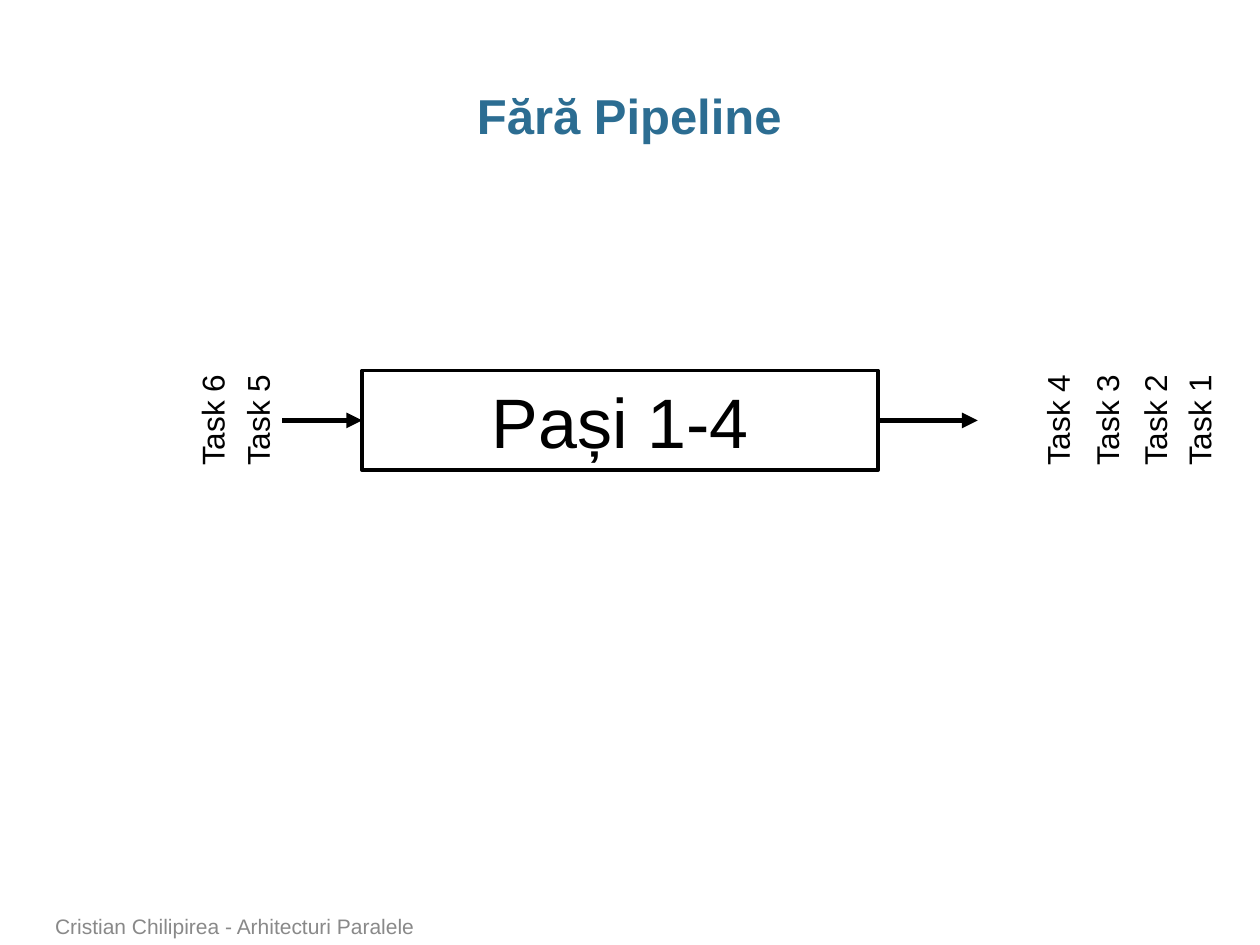
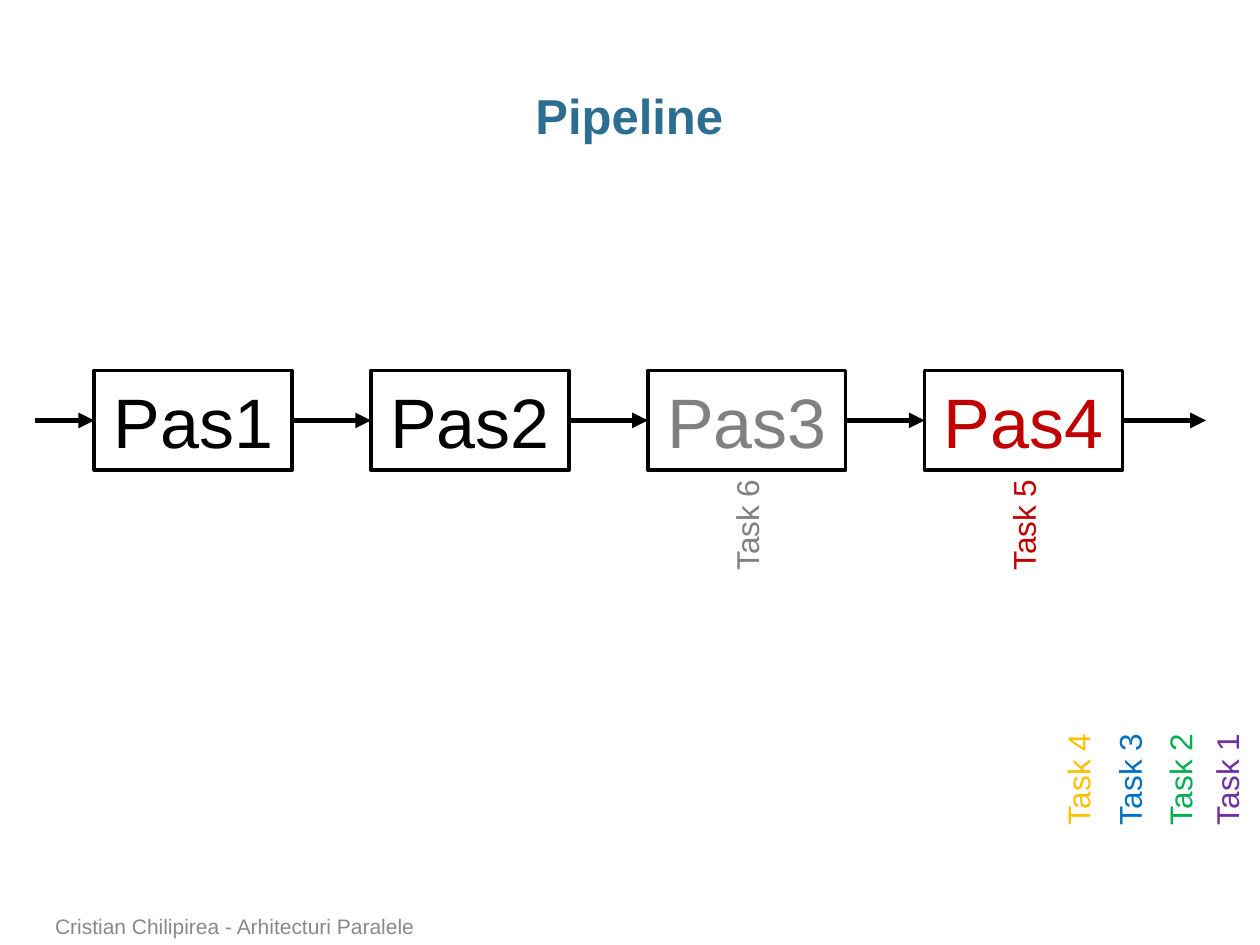
from lxml import etree
from pptx import Presentation
from pptx import util as u
from pptx.dml.color import RGBColor
from pptx.enum import shapes, text
from pptx.oxml.ns import qn

FONT = "Arial"
COLOURS = {
    "title": "2C6D92", "footer": "898989", "black": "000000",
    "grey": "808080", "red": "C00000", "yellow": "FFC000",
    "blue": "0070C0", "green": "00B050", "purple": "7030A0",
}
FOOTER = "Cristian Chilipirea - Arhitecturi Paralele"

# Content: lengths in cm; a task is (label, colour, centre x),
# a busy step carries the task shown below it
DIAGRAMS = [
    {
        "title": "Fără Pipeline",
        "steps": [("Pași 1-4", "black", None)],
        "first_left": 7.3, "step_width": 10.4,
        "flow": (5.69, 19.71),
        "tasks": [("Task 1", "black", 24.17), ("Task 2", "black", 23.28),
                  ("Task 3", "black", 22.31), ("Task 4", "black", 21.32),
                  ("Task 5", "black", 5.19), ("Task 6", "black", 4.28)],
        "tasks_y": 8.46,
    },
    {
        "title": "Pipeline",
        "steps": [("Pas1", "black", None), ("Pas2", "black", None),
                  ("Pas3", "grey", "Task 6"), ("Pas4", "red", "Task 5")],
        "first_left": 1.9, "step_width": 3.99,
        "flow": (0.71, 24.31),
        "tasks": [("Task 1", "purple", 24.73), ("Task 2", "green", 23.79),
                  ("Task 3", "blue", 22.77), ("Task 4", "yellow", 21.73)],
        "tasks_y": 15.7,
    },
]
STEP_PITCH = 5.58
STEP_TOP, STEP_HEIGHT = 7.47, 2.01
FLOW_Y = STEP_TOP + STEP_HEIGHT / 2
BUSY_TASK_Y = 10.57
TASK_WIDTH, TASK_HEIGHT = 2.36, 1.02
MARGIN = 0.86


def colour(name):
    return RGBColor.from_string(COLOURS[name])


def write(shape, words, size, colour_name, align=text.PP_ALIGN.LEFT, bold=False):
    frame = shape.text_frame
    frame.text = words
    para = frame.paragraphs[0]
    para.alignment = align
    font = para.runs[0].font
    font.name, font.size, font.bold = FONT, u.Pt(size), bold
    font.color.rgb = colour(colour_name)
    return frame


def add_title(page, words):
    title = page.shapes.title
    title.left, title.top = u.Cm(MARGIN), u.Cm(1.73)
    title.width, title.height = u.Cm(23.65), u.Cm(1.27)
    frame = write(title, words, 28, "title", text.PP_ALIGN.CENTER, bold=True)
    frame.margin_left = frame.margin_right = 0
    frame.vertical_anchor = text.MSO_ANCHOR.MIDDLE
    frame.auto_size = text.MSO_AUTO_SIZE.NONE
    frame.paragraphs[0].line_spacing = 0.95


def add_footer(page):
    box = page.shapes.add_textbox(u.Cm(MARGIN), u.Cm(18.34), u.Cm(18.72), u.Cm(0.71))
    frame = write(box, FOOTER, 12, "footer")
    frame.word_wrap = True
    frame.vertical_anchor = text.MSO_ANCHOR.BOTTOM


def add_step(page, words, colour_name, left, width):
    box = page.shapes.add_shape(shapes.MSO_SHAPE.RECTANGLE, u.Cm(left),
                                u.Cm(STEP_TOP), u.Cm(width), u.Cm(STEP_HEIGHT))
    box.shadow.inherit = False
    box.fill.background()
    box.line.color.rgb = colour("black")
    box.line.width = u.Pt(2)
    frame = write(box, words, 40, colour_name, text.PP_ALIGN.CENTER)
    frame.vertical_anchor = text.MSO_ANCHOR.MIDDLE


def add_arrow(page, start, end):
    arrow = page.shapes.add_connector(shapes.MSO_CONNECTOR.STRAIGHT, u.Cm(start),
                                      u.Cm(FLOW_Y), u.Cm(end), u.Cm(FLOW_Y))
    arrow.line.color.rgb = colour("black")
    arrow.line.width = u.Pt(3)
    etree.SubElement(arrow.line._get_or_add_ln(), qn("a:tailEnd"), type="triangle")
    etree.SubElement(arrow._element.spPr, qn("a:effectLst"))


def add_task(page, words, colour_name, centre_x, centre_y):
    box = page.shapes.add_textbox(u.Cm(centre_x - TASK_WIDTH / 2),
                                  u.Cm(centre_y - TASK_HEIGHT / 2),
                                  u.Cm(TASK_WIDTH), u.Cm(TASK_HEIGHT))
    box.rotation = 270
    frame = write(box, words, 18, colour_name)
    frame.word_wrap = False
    frame.auto_size = text.MSO_AUTO_SIZE.SHAPE_TO_FIT_TEXT


def add_diagram(page, diagram):
    width = diagram["step_width"]
    flow_start, flow_end = diagram["flow"]

    # Steps, each with its incoming arrow and the task it works on
    for index, (words, colour_name, task) in enumerate(diagram["steps"]):
        left = diagram["first_left"] + index * STEP_PITCH
        add_step(page, words, colour_name, left, width)
        add_arrow(page, flow_start, left)
        flow_start = left + width
        if task:
            add_task(page, task, colour_name, left + width / 2, BUSY_TASK_Y)
    add_arrow(page, flow_start, flow_end)

    # Waiting and finished tasks
    for words, colour_name, centre_x in diagram["tasks"]:
        add_task(page, words, colour_name, centre_x, diagram["tasks_y"])


def main():
    deck = Presentation()
    deck.slide_width, deck.slide_height = u.Cm(25.4), u.Cm(19.05)
    for diagram in DIAGRAMS:
        page = deck.slides.add_slide(deck.slide_layouts.get_by_name("Title Only"))
        add_title(page, diagram["title"])
        add_diagram(page, diagram)
        add_footer(page)
    deck.save("out.pptx")


if __name__ == "__main__":
    main()
